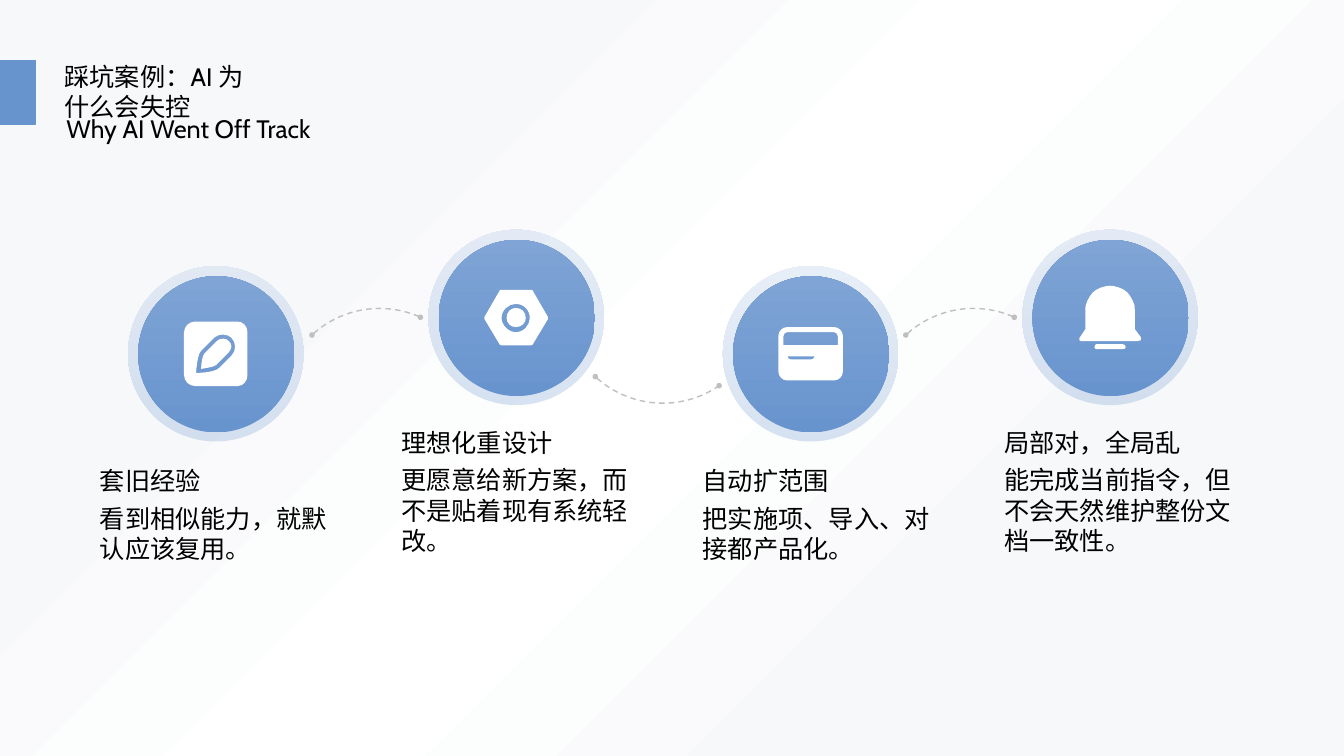
import pptx
import pptx.util
import pptx.dml.color
import pptx.enum.dml
import pptx.enum.shapes
import pptx.enum.text
from pptx.oxml.ns import qn
from pptx.util import Inches
from lxml import etree


class Theme:
    font, size = "Cabin", 18
    text, blue, light, halo = "000000", "6894CE", "7FA4D5", "A4BFE2"
    white, pale, link = "FFFFFF", "F7F8FA", "BFBFBF"


SHAPE = pptx.enum.shapes.MSO_SHAPE
ANCHOR = pptx.enum.text.MSO_ANCHOR

# Each icon: width, height and contours in hundredths of an inch.
# A contour is a start point, then lines (2 numbers) or cubic curves (6).
PENCIL = (63, 64, [
    "39 17, 41 17 43 18 44 19, 48 22 48 27 44 31, 32 43, 30 45 23 46 17 47,"
    "17 40 19 33 20 32, 33 19, 34 18 36 17 39 17",
    "39 13, 35 13 32 14 30 16, 17 29, 13 33 12 51 12 51, 12 51 30 51 35 46,"
    "47 34, 52 29 52 21 47 16, 45 14 42 13 39 13",
    "11 0, 53 0, 59 0 63 5 63 11, 63 53, 63 59 59 64 53 64, 11 64,"
    "5 64 0 59 0 53, 0 11, 0 5 5 0 11 0"])
NUT = (63, 55, [
    "31 18, 37 18 41 22 41 28, 41 33 37 37 31 37, 26 37 22 33 22 28,"
    "22 22 26 18 31 18",
    "31 14, 24 14 17 20 17 28, 17 35 24 42 31 42, 39 42 45 35 45 28,"
    "45 20 39 14 31 14",
    "17 0, 46 0, 47 0 48 0 48 1, 63 27, 63 27 63 28 63 29, 48 54,"
    "48 55 47 55 46 55, 17 55, 16 55 15 55 15 54, 0 29, 0 28 0 27 0 27,"
    "15 1, 15 0 16 0 17 0"])
CARD = (64, 53, [
    "9 29, 10 31, 10 31 11 32 12 32, 33 32, 34 32 35 31 35 31, 36 29",
    "9 5, 7 5 5 7 5 9, 5 18, 59 18, 59 9, 59 7 57 5 55 5",
    "9 0, 55 0, 60 0 64 4 64 9, 64 44, 64 49 60 53 55 53, 9 53,"
    "4 53 0 49 0 44, 0 9, 0 4 4 0 9 0"])
BELL = (61, 63, [
    "17 58, 43 58, 45 58 46 59 46 61, 46 62 45 63 43 63, 17 63,"
    "16 63 15 62 15 61, 15 59 16 58 17 58",
    "30 0, 34 0 37 1 40 2, 43 3 46 5 48 7, 50 10 52 12 53 15,"
    "55 18 55 21 55 25, 55 43, 61 51, 61 52 61 53 61 54, 60 55 59 55 58 55,"
    "2 55, 2 55 1 55 0 54, 0 53 0 52 0 52, 6 43, 6 25, 6 21 6 18 8 15,"
    "9 12 11 10 13 7, 15 5 18 3 21 2, 24 1 27 0 30 0"])

# Circle top and text top of the two rows
LOW, HIGH = (2.64, 4.61), (2.28, 4.23)

# Heading, body, circle left, row, body width, icon
CASES = [
    ("套旧经验", "看到相似能力，就默认应该复用。", 1.27, LOW, 2.42, PENCIL),
    ("理想化重设计", "更愿意给新方案，而不是贴着现有系统轻改。", 4.25, HIGH, 2.42, NUT),
    ("自动扩范围", "把实施项、导入、对接都产品化。", 7.17, LOW, 2.42, CARD),
    ("局部对，全局乱", "能完成当前指令，但不会天然维护整份文档一致性。", 10.14, HIGH, 2.52, BELL),
]


def rgb(color):
    return pptx.dml.color.RGBColor.from_string(color)


def gradient(fill, element, stops, angle):
    """Stops are (position %, colour, opacity %); the angle runs clockwise."""
    fill.gradient()
    fill.gradient_angle = (360 - angle) % 360
    stop_list = next(element.iter(qn("a:gsLst")))
    for old in list(stop_list):
        stop_list.remove(old)
    for pos, color, opacity in stops:
        gs = etree.SubElement(stop_list, qn("a:gs"), pos=str(pos * 1000))
        clr = etree.SubElement(gs, qn("a:srgbClr"), val=color)
        if opacity < 100:
            etree.SubElement(clr, qn("a:alpha"), val=str(opacity * 1000))


def write(sp, text, inset=(0, 0), anchor=ANCHOR.TOP):
    tf = sp.text_frame
    tf.word_wrap = True
    tf.auto_size = pptx.enum.text.MSO_AUTO_SIZE.NONE
    tf.vertical_anchor = anchor
    tf.margin_left = tf.margin_right = Inches(inset[0])
    tf.margin_top = tf.margin_bottom = Inches(inset[1])
    p = tf.paragraphs[0]
    p.alignment = pptx.enum.text.PP_ALIGN.LEFT
    r = p.add_run()
    r.text = text
    r.font.name, r.font.size = Theme.font, pptx.util.Pt(Theme.size)
    r.font.color.rgb = rgb(Theme.text)


def add_text(s, box, text, **fmt):
    write(s.shapes.add_textbox(*map(Inches, box)), text, **fmt)


def add_header(s, left, top):
    title = s.shapes.title
    title.left, title.top = Inches(left), Inches(top)
    title.width, title.height = Inches(1.96), Inches(0.47)
    write(title, "踩坑案例：AI 为什么会失控")
    add_text(s, (left + 0.02, top + 0.51, 3.64, 0.17), "Why AI Went Off Track")
    bar = s.shapes.add_shape(SHAPE.RECTANGLE, 0, Inches(top - 0.01), Inches(0.35), Inches(0.63))
    bar.shadow.inherit = False
    bar.fill.solid()
    bar.fill.fore_color.rgb = bar.line.color.rgb = rgb(Theme.blue)
    bar.line.width = pptx.util.Pt(1)


def add_arc(s, left, top, rotation, end, flip=False):
    arc = s.shapes.add_shape(SHAPE.ARC, Inches(left), Inches(top), Inches(1.97), Inches(1.97))
    arc.shadow.inherit = False
    arc.rotation = rotation
    arc.adjustments[0], arc.adjustments[1] = 168.25, end
    if flip:
        next(arc.element.iter(qn("a:xfrm"))).set("flipV", "1")
    arc.fill.background()
    arc.line.color.rgb = rgb(Theme.link)
    arc.line.width = pptx.util.Pt(1)
    arc.line.dash_style = pptx.enum.dml.MSO_LINE.DASH
    ln = next(arc.element.iter(qn("a:ln")))
    for tag in ("a:headEnd", "a:tailEnd"):
        etree.SubElement(ln, qn(tag), type="oval", w="sm", len="sm")


def add_disc(shapes, left, top, size, stops):
    disc = shapes.add_shape(SHAPE.OVAL, *map(Inches, (left, top, size, size)))
    disc.shadow.inherit = False
    disc.line.fill.background()
    gradient(disc.fill, disc.element, stops, 270)


def bend(line, numbers):
    """Turn a straight path segment into a cubic curve."""
    line.tag = qn("a:cubicBezTo")
    for old in list(line):
        line.remove(old)
    for x, y in zip(numbers[::2], numbers[1::2]):
        etree.SubElement(line, qn("a:pt"), x=str(Inches(x / 100)), y=str(Inches(y / 100)))


def add_icon(shapes, cx, cy, icon):
    width, height, contours = icon
    left, top = cx - width / 200, cy - height / 200
    builder, segments = None, []
    for contour in contours:
        parts = [[int(v) for v in part.split()] for part in contour.split(",")]
        ends = [(Inches(left + n[-2] / 100), Inches(top + n[-1] / 100)) for n in parts]
        if builder is None:
            builder = shapes.build_freeform(*ends[0])
        else:
            builder.move_to(*ends[0])
        builder.add_line_segments(ends[1:], close=True)
        segments += parts[1:]
    sp = builder.convert_to_shape()
    for line, numbers in zip(list(sp.element.iter(qn("a:lnTo"))), segments):
        if len(numbers) == 6:
            bend(line, numbers)
    sp.shadow.inherit = False
    sp.fill.solid()
    sp.fill.fore_color.rgb = rgb(Theme.white)
    sp.line.fill.background()


def add_case(s, text_left, heading, body, left, row, body_width, icon):
    top, text_top = row
    inset = (0.07, 0.04)
    add_text(s, (text_left, text_top, 2.42, 0.32), heading, inset=inset, anchor=ANCHOR.MIDDLE)
    add_text(s, (text_left, text_top + 0.34, body_width, 0.76), body, inset=inset)
    shapes = s.shapes.add_group_shape().shapes
    add_disc(shapes, left, top, 1.74, [(0, Theme.blue, 25), (100, Theme.halo, 25)])
    add_disc(shapes, left + 0.1, top + 0.1, 1.55, [(0, Theme.blue, 100), (100, Theme.light, 100)])
    add_icon(shapes, left + 0.87, top + 0.87, icon)


def main():
    prs = pptx.Presentation()
    prs.slide_width, prs.slide_height = Inches(13.33), Inches(7.5)
    s = prs.slides.add_slide(prs.slide_layouts[5])
    gradient(s.background.fill, s.element, [
        (0, Theme.pale, 100), (25, Theme.pale, 100), (50, Theme.white, 0),
        (75, Theme.pale, 100), (100, Theme.pale, 74)], 45)
    add_header(s, 0.64, 0.61)
    # Dashed links between the circles
    add_arc(s, 5.59, 2.03, 53.3, 214.69, flip=True)
    for left in (2.78, 8.67):
        add_arc(s, left, 3.06, 306.7, 208.56)
    # Four cases at an even pitch
    for i, case in enumerate(CASES):
        add_case(s, 0.92 + 2.99 * i, *case)
    prs.save("out.pptx")


if __name__ == "__main__":
    main()
